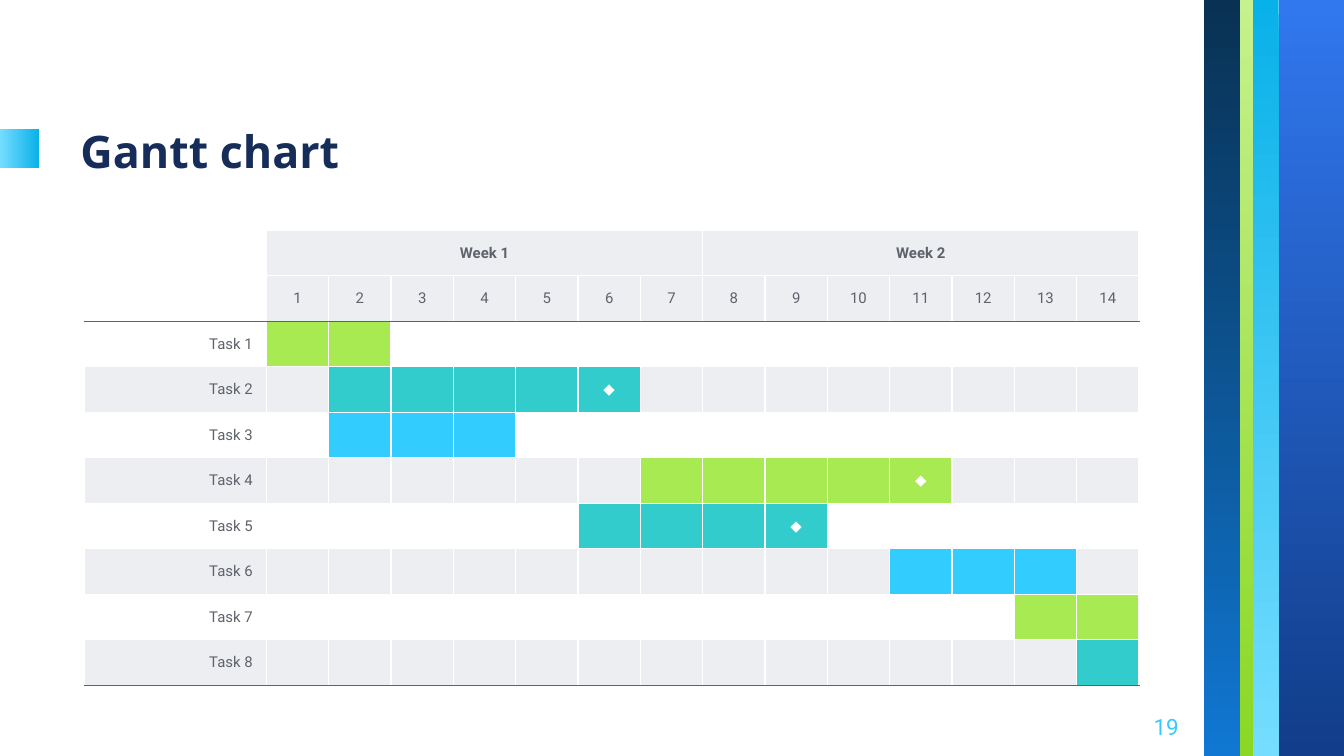
from lxml.etree import SubElement
from pptx import Presentation
from pptx.dml.color import RGBColor
from pptx.enum.shapes import MSO_SHAPE as Shape
from pptx.enum.text import MSO_ANCHOR as Anchor, PP_ALIGN as Align
from pptx.oxml.ns import qn
from pptx.util import Pt

WHITE = RGBColor(0xFF, 0xFF, 0xFF)
NAVY = RGBColor(0x16, 0x2D, 0x5A)
GRAY = RGBColor(0x5E, 0x62, 0x6B)
PALE = RGBColor(0xED, 0xEE, 0xF1)
LIME = RGBColor(0xA7, 0xEA, 0x52)
TEAL = RGBColor(0x33, 0xCC, 0xCC)
SKY = RGBColor(0x33, 0xCC, 0xFF)
ROYAL = RGBColor(0x31, 0x77, 0xEE), RGBColor(0x11, 0x3D, 0x8A)
AQUA = RGBColor(0x09, 0xB1, 0xE9), RGBColor(0x75, 0xDD, 0xFF)
LEAF = RGBColor(0xC6, 0xF1, 0x8D), RGBColor(0x8A, 0xD8, 0x24)
DEEP = RGBColor(0x09, 0x31, 0x53), RGBColor(0x10, 0x77, 0xD2)

WIDTH, HEIGHT = 720, 405
DOWN, ACROSS = 270, 0  # gradient angles

# left, top, width, height, colours, angle
BANDS = [
    (685, 0, 35, HEIGHT, ROYAL, DOWN),
    (671, 0, 14, HEIGHT, AQUA, DOWN),
    (664.3, 0, 7, HEIGHT, LEAF, DOWN),
    (645, 0, 19.3, HEIGHT, DEEP, DOWN),
    (0, 69, 21, 21.3, AQUA[::-1], ACROSS),
]

WEEKS = ["Week 1", "Week 2"]
DAYS = 7
# name, first day, last day, colour, milestone on last day
TASKS = [
    ("Task 1", 1, 2, LIME, False),
    ("Task 2", 2, 6, TEAL, True),
    ("Task 3", 2, 4, SKY, False),
    ("Task 4", 7, 11, LIME, True),
    ("Task 5", 6, 9, TEAL, True),
    ("Task 6", 11, 13, SKY, False),
    ("Task 7", 13, 14, LIME, False),
    ("Task 8", 14, 14, TEAL, False),
]
HEADS = 2
LEFT, TOP = 45.3, 123.4
NAME_W, DAY_W, ROW_H = 97.4, 33.42, 24.4


def style(par, size, font, color, bold=False, align=Align.LEFT):
    par.alignment = align
    for run in par.runs:
        run.font.size, run.font.name = Pt(size), font
        run.font.bold, run.font.color.rgb = bold, color


def add_band(slide, left, top, width, height, colors, angle):
    band = slide.shapes.add_shape(
        Shape.RECTANGLE, Pt(left), Pt(top), Pt(width), Pt(height))
    band.shadow.inherit = False
    band.line.fill.background()
    band.fill.gradient()
    band.fill.gradient_angle = angle
    for stop, color in zip(band.fill.gradient_stops, colors):
        stop.color.rgb = color


def add_text(slide, box, text, anchor, *look):
    frame = slide.shapes.add_textbox(*map(Pt, box)).text_frame
    frame.word_wrap = True
    frame.vertical_anchor = anchor
    frame.margin_left = frame.margin_right = Pt(7.2)
    frame.margin_top = frame.margin_bottom = Pt(7.2)
    frame.text = text
    style(frame.paragraphs[0], *look)


def set_edges(cell, top, bottom):
    edges = {"a:lnL": WHITE, "a:lnR": WHITE, "a:lnT": top, "a:lnB": bottom}
    for tag, color in edges.items():
        line = SubElement(cell._tc.get_or_add_tcPr(), qn(tag), w=str(Pt(0.75)))
        SubElement(SubElement(line, qn("a:solidFill")),
                   qn("a:srgbClr"), val=str(color))


def day_look(row, day):
    """Text, text colour and fill of one day's cell."""
    if row == 0:
        week, first = divmod(day - 1, DAYS)
        return ("" if first else WEEKS[week]), GRAY, PALE
    if row == 1:
        return str(day), GRAY, PALE
    _, start, end, color, mark = TASKS[row - HEADS]
    if start <= day <= end:
        return ("◆" if mark and day == end else ""), WHITE, color
    return "", GRAY, PALE if row % 2 else None


def cell_look(row, col):
    if col:
        return day_look(row, col)
    if row < HEADS:
        return "", GRAY, None
    return TASKS[row - HEADS][0], GRAY, PALE if row % 2 else None


def add_gantt(slide):
    rows, cols = HEADS + len(TASKS), 1 + DAYS * len(WEEKS)
    table = slide.shapes.add_table(
        rows, cols, Pt(LEFT), Pt(TOP),
        Pt(NAME_W + DAY_W * (cols - 1)), Pt(ROW_H * rows)).table
    table.first_row = table.horz_banding = False
    for col, column in enumerate(table.columns):
        column.width = Pt(DAY_W if col else NAME_W)
    for row, line in enumerate(table.rows):
        line.height = Pt(ROW_H)
        for col, cell in enumerate(line.cells):
            text, color, fill = cell_look(row, col)
            set_edges(cell, GRAY if row == HEADS else WHITE,
                      GRAY if row in (HEADS - 1, rows - 1) else WHITE)
            if fill:
                cell.fill.solid()
                cell.fill.fore_color.rgb = fill
            else:
                cell.fill.background()
            cell.vertical_anchor = Anchor.MIDDLE
            par = cell.text_frame.paragraphs[0]
            if text:
                par.text = text
            else:  # keeps an empty cell from stretching its row
                par._p.get_or_add_endParaRPr().set("sz", "800")
            style(par, 8, "Roboto", color, row == 0,
                  Align.CENTER if col else Align.RIGHT)
    for first in range(1, cols, DAYS):
        table.cell(0, first).merge(table.cell(0, first + DAYS - 1))


def main():
    deck = Presentation()
    deck.slide_width, deck.slide_height = Pt(WIDTH), Pt(HEIGHT)
    slide = deck.slides.add_slide(deck.slide_layouts[6])
    for band in BANDS:
        add_band(slide, *band)
    add_text(slide, (36, 44.6, 417.6, 57.6), "Gantt chart", Anchor.BOTTOM,
             24, "Open Sans", NAVY, True)
    add_text(slide, (595.4, 374, 43.2, 31), "19", Anchor.MIDDLE,
             12, "Roboto", SKY, False, Align.RIGHT)
    add_gantt(slide)
    deck.save("out.pptx")


if __name__ == "__main__":
    main()
